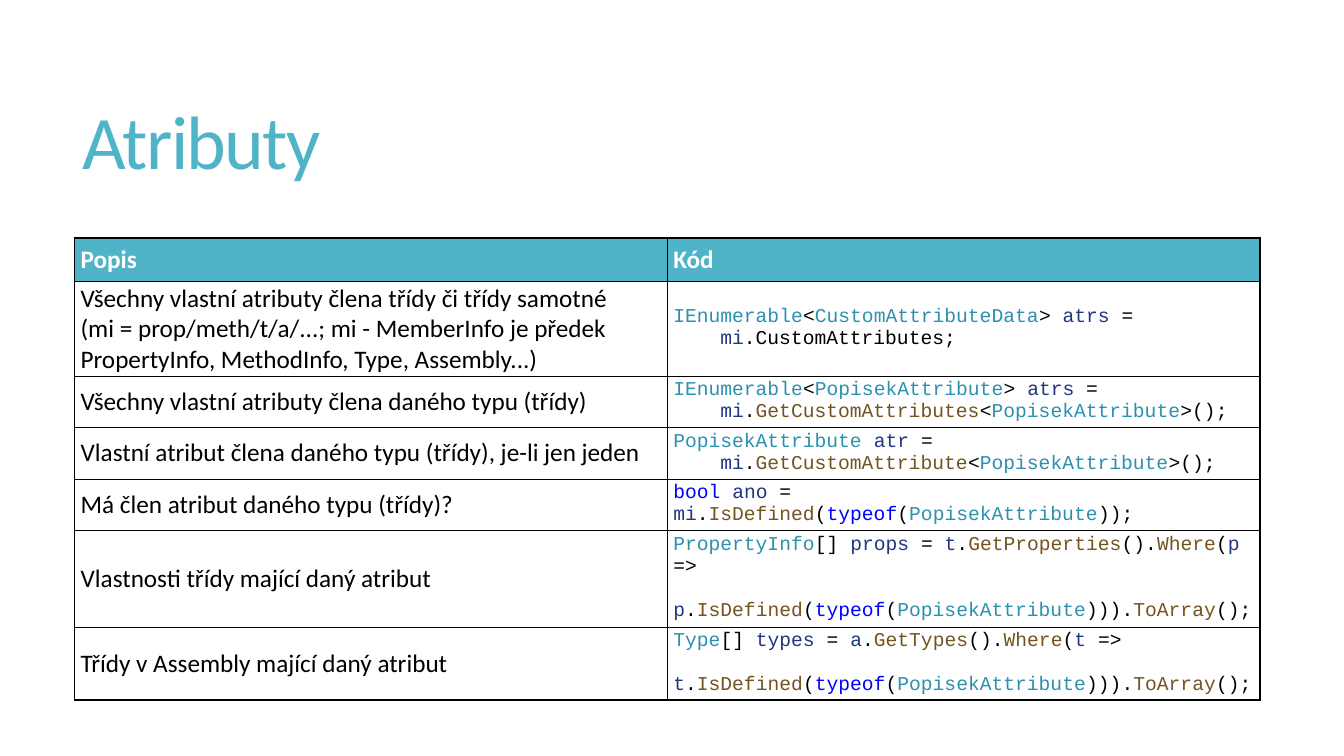
from itertools import groupby

from lxml import etree
from pptx import Presentation
from pptx.dml.color import RGBColor
from pptx.enum.text import MSO_ANCHOR
from pptx.oxml.ns import qn
from pptx.util import Inches, Pt

MIDDLE = MSO_ANCHOR.MIDDLE

ACCENT, WHITE, BLACK = "50B4C8", "FFFFFF", "000000"
TYPE, METHOD, LOCAL, KEYWORD = "2B91AF", "74531F", "1F377F", "0000FF"
WORDS_BY_COLOR = {
    TYPE: "IEnumerable CustomAttributeData PopisekAttribute PropertyInfo Type",
    METHOD: "GetCustomAttributes GetCustomAttribute IsDefined GetProperties "
            "GetTypes Where ToArray",
    LOCAL: "atrs atr ano mi props types t p a",
    KEYWORD: "bool typeof",
}
CODE_COLORS = {word: color for color, words in WORDS_BY_COLOR.items()
               for word in words.split()}

CODE_SIZE = 14
CODE_INDENT = Pt(4 * 0.6 * CODE_SIZE)  # four monospaced characters
CODE_LINE = Pt(1.13 * CODE_SIZE)
OUTER_LINE, INNER_LINE = 1, 0.25

HEADINGS = ("Popis", "Kód")
ROW_HEIGHTS = [5.73, 12.53] + [6.8] * 5
# Description, code lines, and whether the last code line is set apart by a gap
EXAMPLES = [
    ("Všechny vlastní atributy člena třídy či třídy samotné \n"
     "(mi = prop/meth/t/a/...; mi - MemberInfo je předek "
     "PropertyInfo, MethodInfo, Type, Assembly...)",
     ["IEnumerable<CustomAttributeData> atrs =", "mi.CustomAttributes;"], False),
    ("Všechny vlastní atributy člena daného typu (třídy)",
     ["IEnumerable<PopisekAttribute> atrs =",
      "mi.GetCustomAttributes<PopisekAttribute>();"], False),
    ("Vlastní atribut člena daného typu (třídy), je-li jen jeden",
     ["PopisekAttribute atr =",
      "mi.GetCustomAttribute<PopisekAttribute>();"], False),
    ("Má člen atribut daného typu (třídy)?",
     ["bool ano = mi.IsDefined(typeof(PopisekAttribute));"], False),
    ("Vlastnosti třídy mající daný atribut",
     ["PropertyInfo[] props = t.GetProperties().Where(p =>",
      "p.IsDefined(typeof(PopisekAttribute))).ToArray();"], True),
    ("Třídy v Assembly mající daný atribut",
     ["Type[] types = a.GetTypes().Where(t =>",
      "t.IsDefined(typeof(PopisekAttribute))).ToArray();"], True),
]


def rgb(value):
    return RGBColor.from_string(value)


class Deck:
    """Holds the style and the current slide; lengths are percent of the slide."""
    body_font, code_font = "Calibri", "Courier New"
    body_size, title_size = 18, 54

    def __init__(self):
        self.presentation = Presentation()
        self.presentation.slide_width = Inches(13.33)
        self.presentation.slide_height = Inches(7.5)
        self.slide = self.presentation.slides.add_slide(
            self.presentation.slide_layouts[6])

    def x(self, percent):
        return round(self.presentation.slide_width * percent / 100)

    def y(self, percent):
        return round(self.presentation.slide_height * percent / 100)

    def run(self, paragraph, text, font, size, color, bold=False):
        run = paragraph.add_run()
        run.text = text
        run.font.name, run.font.size, run.font.bold = font, Pt(size), bold
        run.font.color.rgb = rgb(color)
        return run

    def title(self, text, left, top, width, height):
        box = self.slide.shapes.add_textbox(
            self.x(left), self.y(top), self.x(width), self.y(height))
        frame = box.text_frame
        frame.word_wrap = True
        frame.vertical_anchor = MIDDLE
        paragraph = frame.paragraphs[0]
        paragraph.line_spacing = 0.85
        run = self.run(paragraph, text, self.body_font, self.title_size, ACCENT)
        run.font._element.set("spc", "-120")

    def table(self, left, top, width, row_heights, column_count):
        table = self.slide.shapes.add_table(
            len(row_heights), column_count, self.x(left), self.y(top),
            self.x(width), self.y(sum(row_heights))).table
        table.first_row = table.horz_banding = False
        for row, height in zip(table.rows, row_heights):
            row.height = self.y(height)
        last_row, last_column = len(row_heights) - 1, column_count - 1
        for r in range(len(row_heights)):
            for c in range(column_count):
                cell = table.cell(r, c)
                cell.vertical_anchor = MIDDLE
                cell.margin_left = cell.margin_right = Inches(0.06)
                cell.margin_top = cell.margin_bottom = Inches(0.02)
                self.borders(cell, L=c == 0, R=c == last_column,
                             T=r == 0, B=r == last_row)
                cell.fill.background()
        return table

    def borders(self, cell, **is_outer):
        properties = cell._tc.get_or_add_tcPr()
        for side, outer in is_outer.items():
            width = Pt(OUTER_LINE if outer else INNER_LINE)
            line = etree.SubElement(properties, qn("a:ln" + side), w=str(width))
            fill = etree.SubElement(line, qn("a:solidFill"))
            etree.SubElement(fill, qn("a:srgbClr"), val=BLACK)

    def heading(self, cell, text):
        cell.fill.solid()
        cell.fill.fore_color.rgb = rgb(ACCENT)
        self.run(cell.text_frame.paragraphs[0], text,
                 self.body_font, self.body_size, WHITE, bold=True)

    def description(self, cell, text):
        paragraph = cell.text_frame.paragraphs[0]
        for number, line in enumerate(text.split("\n")):
            if number:
                paragraph.add_line_break()
            self.run(paragraph, line, self.body_font, self.body_size, BLACK)

    def code(self, cell, lines, gap):
        """Write coloured code; later lines are indented or set apart by a gap."""
        frame = cell.text_frame
        for number, line in enumerate(lines):
            paragraph = frame.add_paragraph() if number else frame.paragraphs[0]
            if number and gap:
                paragraph.space_before = CODE_LINE
            elif number:
                paragraph._p.get_or_add_pPr().set("marL", str(CODE_INDENT))
            for _, letters in groupby(line, key=str.isalnum):
                word = "".join(letters)
                self.run(paragraph, word, self.code_font, CODE_SIZE,
                         CODE_COLORS.get(word, BLACK))


def main():
    deck = Deck()
    deck.title("Atributy", 5.4, 7.33, 88.36, 24.13)
    table = deck.table(5.55, 31.47, 88.2, ROW_HEIGHTS, len(HEADINGS))
    for column, text in enumerate(HEADINGS):
        deck.heading(table.cell(0, column), text)
    for row, (description, lines, gap) in enumerate(EXAMPLES, start=1):
        deck.description(table.cell(row, 0), description)
        deck.code(table.cell(row, 1), lines, gap)
    deck.presentation.save("out.pptx")


if __name__ == "__main__":
    main()
